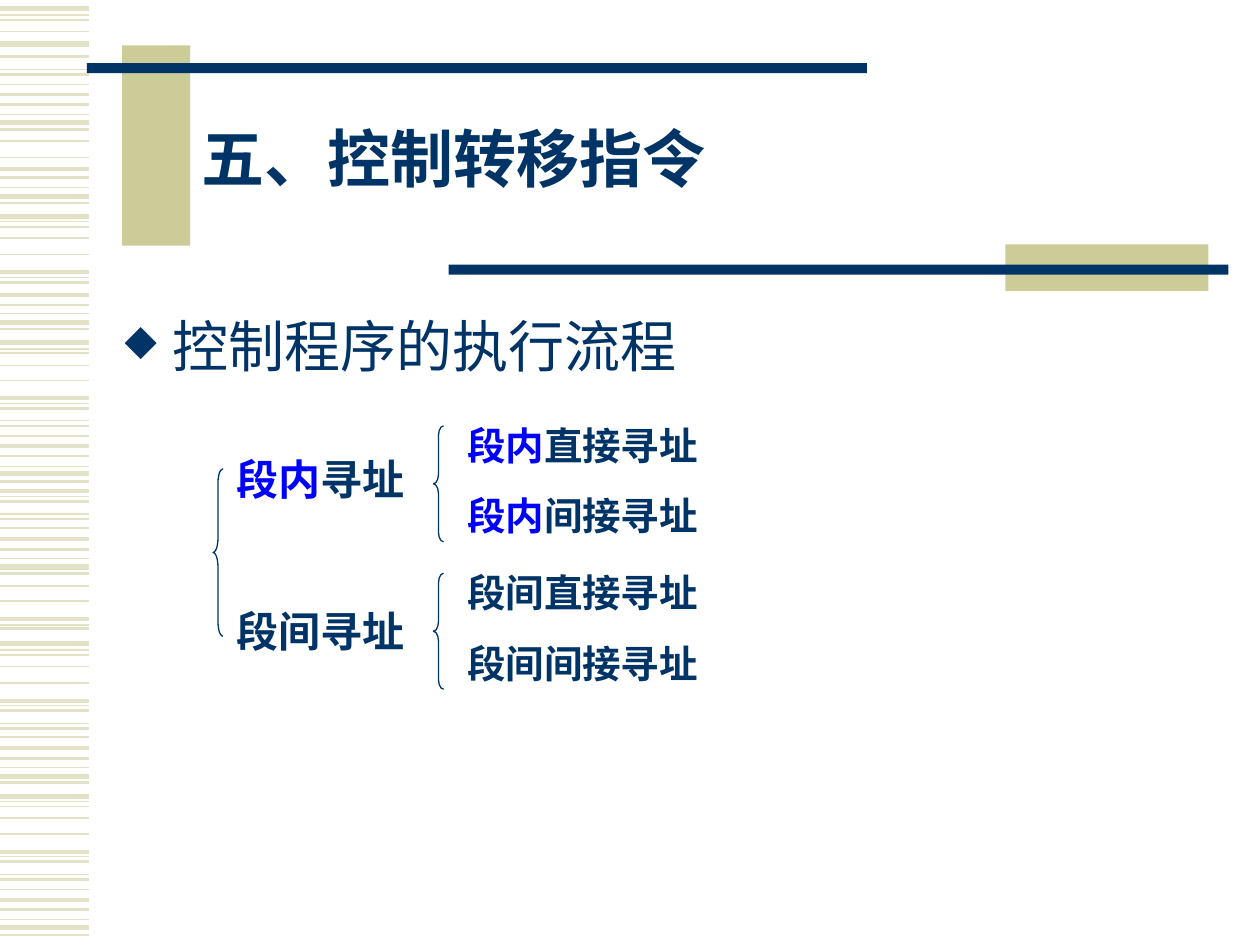
from dataclasses import dataclass

from lxml import etree
from pptx import Presentation
from pptx.dml.color import RGBColor
from pptx.enum.shapes import MSO_CONNECTOR, MSO_SHAPE
from pptx.enum.text import MSO_ANCHOR
from pptx.oxml.ns import qn
from pptx.slide import Slide
from pptx.util import Inches, Pt

RECTANGLE = MSO_SHAPE.RECTANGLE
LEFT_BRACE = MSO_SHAPE.LEFT_BRACE
STRAIGHT = MSO_CONNECTOR.STRAIGHT
TOP = MSO_ANCHOR.TOP
MIDDLE = MSO_ANCHOR.MIDDLE

NAVY = RGBColor(0x00, 0x33, 0x66)
BLUE = RGBColor(0x00, 0x00, 0xFF)
KHAKI = RGBColor(0xCC, 0xCC, 0x99)
PALE_KHAKI = RGBColor(0xE3, 0xE2, 0xC7)
FONT = "Times New Roman"
STRIPE_LENGTH = 0.71
BRACE_WIDTH = 0.08
BULLET_INDENT = 0.38
BULLET_SCALE = "75000"

STRIPES_BY_WEIGHT = {
    0.75: [0.12, 0.55, 0.91, 1.49, 1.76, 2.2, 2.49, 2.77, 3.2, 3.34, 3.7, 3.94,
           4.08, 4.43, 4.96, 5.16, 5.6, 5.74, 6.09, 6.36, 6.8, 6.94, 7.3],
    1: [0.16, 0.25, 0.67, 1.12, 1.25, 1.8, 1.89, 2.02, 2.8, 2.9, 3.02, 3.46,
        4.19, 4.65, 4.77, 5.2, 5.29, 5.42, 5.85, 6.4, 6.49, 6.62, 7.06],
    1.5: [0.45, 0.59, 0.83, 1.03, 1.41, 1.61, 2.24, 2.42, 2.61, 3.24, 3.38,
          3.62, 3.82, 3.98, 4.12, 4.36, 4.55, 4.99, 5.64, 5.78, 6.02, 6.21,
          6.84, 6.98, 7.22, 7.42],
    2.25: [0.75, 1.34, 2.16, 2.34, 3.16, 3.54, 3.9, 4.28, 4.91, 5.56, 5.94,
           6.76, 7.14],
    3: [0.07, 0.35, 0.97, 1.56, 1.72, 2.56, 2.72, 3.76, 4.5, 5.11, 6.16, 6.32,
        7.36],
}


@dataclass(frozen=True)
class Bar:
    left: float
    top: float
    width: float
    height: float
    color: RGBColor


@dataclass(frozen=True)
class Brace:
    left: float
    top: float
    height: float


@dataclass(frozen=True)
class Line:
    text: str
    highlight: str = ""


@dataclass(frozen=True)
class TextBlock:
    left: float
    top: float
    width: float
    height: float
    size: float
    lines: tuple[Line, ...]
    bold: bool = True
    gap: float = 0
    line_spacing: float = 1
    anchor: MSO_ANCHOR = TOP
    bullet: str = ""


BARS = (
    Bar(0.97, 0.36, 0.54, 1.59, KHAKI),
    Bar(0.69, 0.5, 6.19, 0.08, NAVY),
    Bar(7.98, 1.94, 1.61, 0.37, KHAKI),
    Bar(3.56, 2.1, 6.19, 0.08, NAVY),
)
BRACES = (
    Brace(1.69, 3.72, 1.33),
    Brace(3.44, 3.38, 0.92),
    Brace(3.44, 4.55, 0.92),
)
TEXT_BLOCKS = (
    TextBlock(1.5, 0.67, 8.07, 1.25, 36, (Line("五、控制转移指令"),),
              line_spacing=0.85, anchor=MIDDLE),
    TextBlock(0.89, 2.42, 8.7, 4.24, 32, (Line("控制程序的执行流程"),),
              bold=False, bullet="◆"),
    TextBlock(1.78, 3.55, 7.17, 1.72, 24,
              (Line("寻址", "段内"), Line("段间寻址")), gap=58),
    TextBlock(3.61, 3.3, 2.75, 1.03, 22,
              (Line("直接寻址", "段内"), Line("间接寻址", "段内")), gap=13.8),
    TextBlock(3.61, 4.47, 2.75, 1.03, 22,
              (Line("段间直接寻址"), Line("段间间接寻址")), gap=13.8),
)


def draw_stripe(slide: Slide, y: float, weight: float) -> None:
    stripe = slide.shapes.add_connector(
        STRAIGHT, Inches(0), Inches(y), Inches(STRIPE_LENGTH), Inches(y))
    stripe.line.color.rgb = PALE_KHAKI
    stripe.line.width = Pt(weight)
    etree.SubElement(stripe.element.spPr, qn("a:effectLst"))


def draw_bar(slide: Slide, bar: Bar) -> None:
    rectangle = slide.shapes.add_shape(
        RECTANGLE, Inches(bar.left), Inches(bar.top),
        Inches(bar.width), Inches(bar.height))
    rectangle.shadow.inherit = False
    rectangle.fill.solid()
    rectangle.fill.fore_color.rgb = bar.color
    rectangle.line.fill.background()


def draw_brace(slide: Slide, brace: Brace) -> None:
    outline = slide.shapes.add_shape(
        LEFT_BRACE, Inches(brace.left), Inches(brace.top),
        Inches(BRACE_WIDTH), Inches(brace.height))
    outline.shadow.inherit = False
    outline.adjustments[0] = brace.height / 12 / BRACE_WIDTH
    outline.fill.background()
    outline.line.color.rgb = NAVY
    outline.line.width = Pt(0.75)


def draw_text(slide: Slide, block: TextBlock) -> None:
    frame = slide.shapes.add_textbox(
        Inches(block.left), Inches(block.top),
        Inches(block.width), Inches(block.height)).text_frame
    frame.word_wrap = True
    frame.vertical_anchor = block.anchor
    for index, line in enumerate(block.lines):
        paragraph = frame.add_paragraph() if index else frame.paragraphs[0]
        paragraph.line_spacing = block.line_spacing
        if index:
            paragraph.space_before = Pt(block.gap)
        if block.bullet:
            properties = paragraph._p.get_or_add_pPr()
            properties.set("marL", str(Inches(BULLET_INDENT)))
            properties.set("indent", str(Inches(-BULLET_INDENT)))
            etree.SubElement(properties, qn("a:buSzPct"), val=BULLET_SCALE)
            etree.SubElement(properties, qn("a:buChar"), char=block.bullet)
        paragraph.font.name = FONT
        paragraph.font.size = Pt(block.size)
        paragraph.font.bold = block.bold
        for text, color in ((line.highlight, BLUE), (line.text, NAVY)):
            if text:
                run = paragraph.add_run()
                run.text = text
                run.font.color.rgb = color


def main() -> None:
    """Build the slide on control transfer instructions."""
    presentation = Presentation()
    presentation.slide_width = Inches(10)
    presentation.slide_height = Inches(7.5)
    slide = presentation.slides.add_slide(presentation.slide_layouts[6])
    for weight, heights in STRIPES_BY_WEIGHT.items():
        for y in heights:
            draw_stripe(slide, y, weight)
    for bar in BARS:
        draw_bar(slide, bar)
    for block in TEXT_BLOCKS:
        draw_text(slide, block)
    for brace in BRACES:
        draw_brace(slide, brace)
    presentation.save("out.pptx")


if __name__ == "__main__":
    main()
